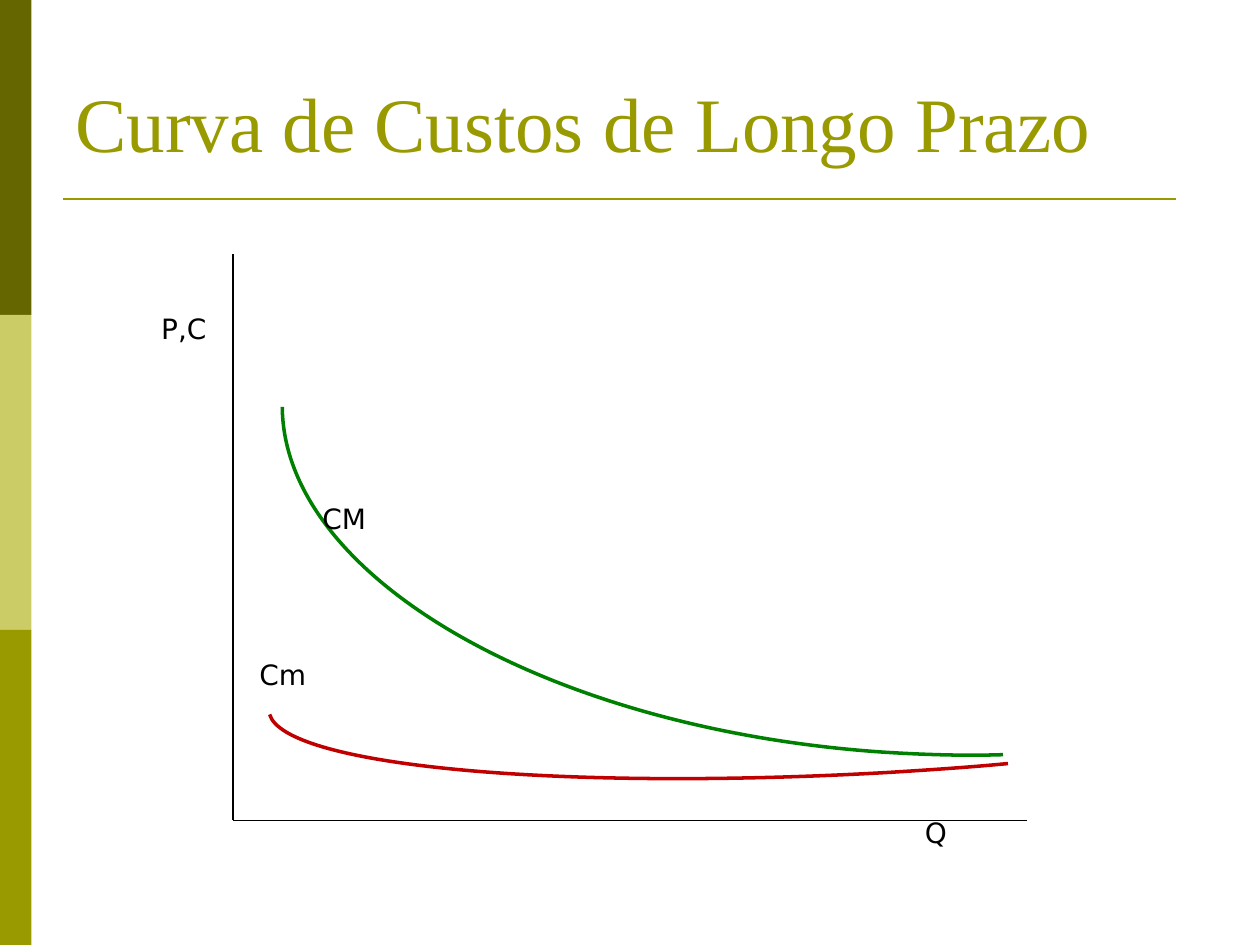
import pptx
import pptx.dml.color
import pptx.enum.shapes
import pptx.enum.text
import pptx.oxml
import pptx.oxml.ns
import pptx.util
from pptx.util import Inches
from dataclasses import dataclass


@dataclass(frozen=True)
class Theme:
    dark_olive: str = "666600"
    light_olive: str = "CCCC66"
    olive: str = "999900"
    black: str = "000000"
    green: str = "008000"
    red: str = "C00000"
    title_font: str = "Times New Roman"
    label_font: str = "DejaVu Sans"
    title_size: int = 44
    label_size: int = 16


theme = Theme()
presentation = pptx.Presentation()
presentation.slide_width = Inches(10)
presentation.slide_height = Inches(7.5)
slide = presentation.slides.add_slide(presentation.slide_layouts[6])


def add_text(text, left, top, width, height, font, size, color):
    box = slide.shapes.add_textbox(Inches(left), Inches(top), Inches(width), Inches(height))
    box.text_frame.word_wrap = True
    box.text_frame.text = text
    run = box.text_frame.paragraphs[0].runs[0]
    run.font.name = font
    run.font.size = pptx.util.Pt(size)
    run.font.color.rgb = pptx.dml.color.RGBColor.from_string(color)
    return box.text_frame


# Side band in three equal parts
band_height = 2.5
for index, color in enumerate([theme.dark_olive, theme.light_olive, theme.olive]):
    band = slide.shapes.add_shape(
        pptx.enum.shapes.MSO_SHAPE.RECTANGLE,
        Inches(0), Inches(index * band_height), Inches(0.25), Inches(band_height))
    band.shadow.inherit = False
    band.fill.solid()
    band.fill.fore_color.rgb = pptx.dml.color.RGBColor.from_string(color)
    band.line.fill.background()

# Title
title_frame = add_text("Curva de Custos de Longo Prazo", 0.5, 0.13, 9, 1.25,
                       theme.title_font, theme.title_size, theme.olive)
title_frame.vertical_anchor = pptx.enum.text.MSO_ANCHOR.BOTTOM

# Title rule and the two axes: start, end, color, width
origin = (1.85, 6.51)
for start, end, color, width in [
    ((0.5, 1.58), (9.33, 1.58), theme.olive, 1.5),
    (origin, (8.15, 6.51), theme.black, 0.75),
    (origin, (1.85, 2.02), theme.black, 0.75),
]:
    line = slide.shapes.add_connector(
        pptx.enum.shapes.MSO_CONNECTOR.STRAIGHT,
        *[Inches(value) for value in start + end])
    line.line.color.rgb = pptx.dml.color.RGBColor.from_string(color)
    line.line.width = pptx.util.Pt(width)
    line._element.spPr.append(pptx.oxml.parse_xml(
        "<a:effectLst %s/>" % pptx.oxml.ns.nsdecls("a")))

# Cost curves: a start point, then two control points and an end per segment
curves = [
    (theme.green, [(7.96, 5.99), (7.65, 6), (7.33, 5.99), (7.01, 5.97),
                   (4.35, 5.79), (2.25, 4.58), (2.24, 3.23)]),
    (theme.red, [(8, 6.06), (7.69, 6.09), (7.38, 6.11), (7.06, 6.13),
                 (4.43, 6.28), (2.26, 6.08), (2.14, 5.67)]),
]
for color, points in curves:
    start, *others = [(Inches(x), Inches(y)) for x, y in points]
    builder = slide.shapes.build_freeform(*start)
    builder.add_line_segments(others, close=False)
    curve = builder.convert_to_shape()
    curve.shadow.inherit = False
    curve.fill.background()
    curve.line.color.rgb = pptx.dml.color.RGBColor.from_string(color)
    curve.line.width = pptx.util.Pt(2)

    # Turn each three straight segments into one Bezier segment
    segments = list(curve._element.iter(pptx.oxml.ns.qn("a:lnTo")))
    for index in range(0, len(segments), 3):
        bezier = pptx.oxml.parse_xml(
            "<a:cubicBezTo %s/>" % pptx.oxml.ns.nsdecls("a"))
        segments[index].addprevious(bezier)
        for segment in segments[index:index + 3]:
            bezier.append(segment[0])
            segment.getparent().remove(segment)

# Axis and curve labels: text, left, top
for text, left, top in [
    ("P,C", 1.28, 2.47),
    ("CM", 2.56, 3.98),
    ("Cm", 2.06, 5.22),
    ("Q", 7.34, 6.47),
]:
    frame = add_text(text, left, top, 0.6, 0.26,
                     theme.label_font, theme.label_size, theme.black)
    frame.margin_left = frame.margin_right = 0
    frame.margin_top = frame.margin_bottom = 0

presentation.save("out.pptx")
